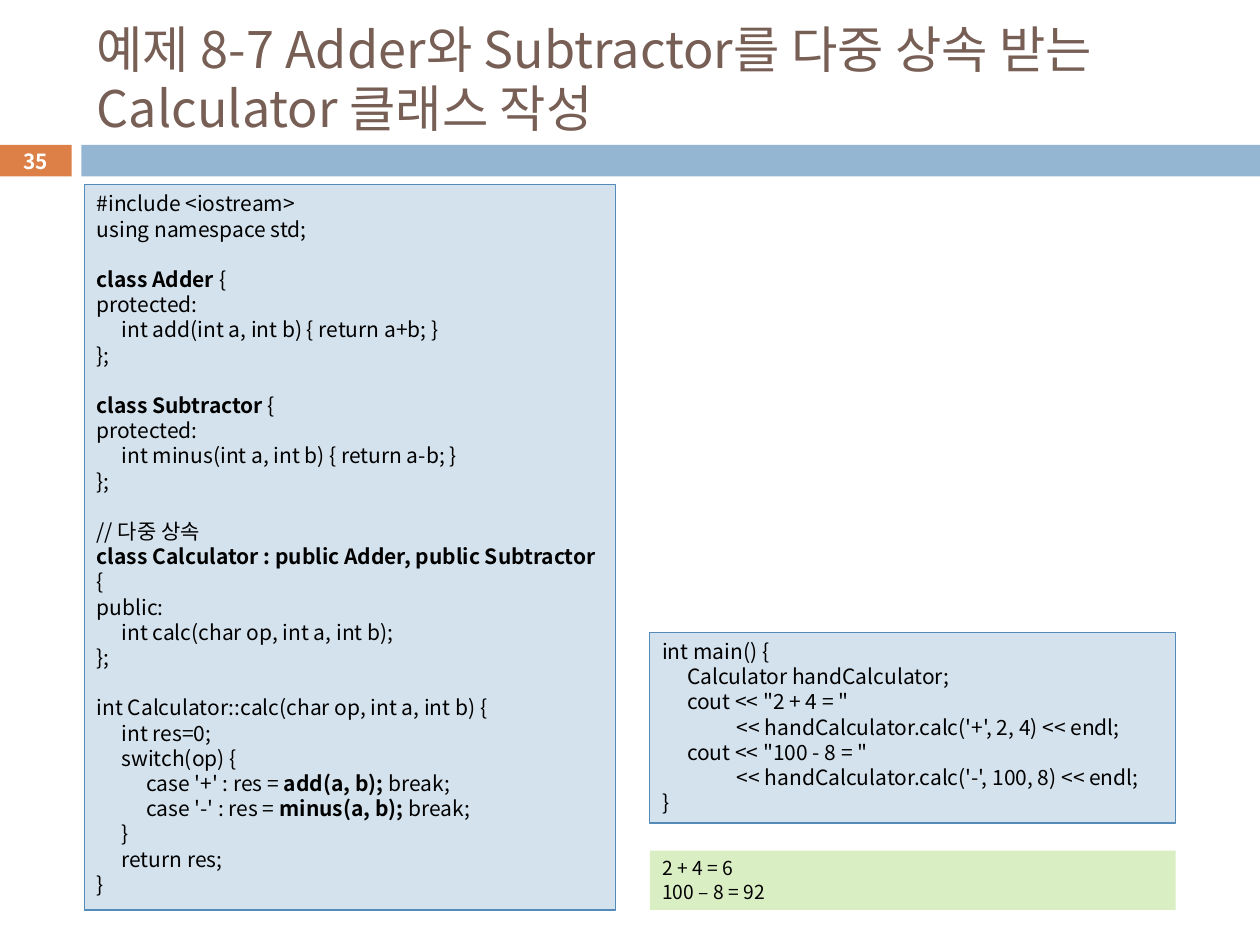
import pptx
import pptx.util
import pptx.dml.color
import pptx.enum.shapes
import pptx.enum.text
import pptx.oxml.ns
from lxml import etree

Pt = pptx.util.Pt
Shape = pptx.enum.shapes.MSO_SHAPE
Align = pptx.enum.text.PP_ALIGN
Anchor = pptx.enum.text.MSO_ANCHOR
qn = pptx.oxml.ns.qn

FACE = "Noto Sans CJK KR"
TAB = 14.2
HUES = {
    "title": "775F55", "badge": "DD8047", "bar": "94B6D2", "white": "FFFFFF",
    "code": "D4E2ED", "edge": "558BB8", "result": "DAEEC4", "text": "000000",
}
FRAME = {
    "word_wrap": True, "margin_left": Pt(7.2), "margin_right": Pt(7.2),
    "margin_top": Pt(3.6), "margin_bottom": Pt(3.6),
}

CLASSES = """#include <iostream>
using namespace std;

**class Adder **{
protected:
\tint add(int a, int b) { return a+b; }
};

**class Subtractor **{
protected:
\tint minus(int a, int b) { return a-b; }
};

// 다중 상속
**class Calculator : public Adder, public Subtractor **{
public:
\tint calc(char op, int a, int b);
};

int Calculator::calc(char op, int a, int b) {
\tint res=0;
\tswitch(op) {
\t\tcase '+' : res = **add(a, b); **break;
\t\tcase '-' : res = **minus(a, b); **break;
\t}
\treturn res;
}"""

MAIN = """int main() {
\tCalculator handCalculator;
\tcout << "2 + 4 = "
\t\t\t<< handCalculator.calc('+', 2, 4) << endl;
\tcout << "100 - 8 = "
\t\t\t<< handCalculator.calc('-', 100, 8) << endl;
}"""

RESULT = "2 + 4 = 6\n100 – 8 = 92"
TITLE = "예제 8-7 Adder와 Subtractor를 다중 상속 받는 Calculator 클래스 작성"


def apply(item, values):
    for key, value in values.items():
        setattr(item, key, value)


def color(key):
    return pptx.dml.color.RGBColor.from_string(HUES[key])


def add_tabs(para):
    stops = etree.SubElement(para._p.get_or_add_pPr(), qn("a:tabLst"))
    for step in (1, 2, 3):
        etree.SubElement(stops, qn("a:tab"), pos=str(Pt(TAB * step)), algn="l")


def add_run(para, text, size, hue, bold):
    run = para.add_run()
    run.text = text
    apply(run.font, {"name": FACE, "size": Pt(size), "bold": bold})
    run.font.color.rgb = color(hue)
    etree.SubElement(run._r.get_or_add_rPr(), qn("a:ea"), typeface=FACE)


def write(shape, text, size, pitch, hue="text", bold=False,
          anchor=Anchor.TOP, align=Align.LEFT):
    frame = shape.text_frame
    apply(frame, FRAME)
    frame.vertical_anchor = anchor
    para = frame.paragraphs[0]
    for block, group in enumerate(text.split("\n\n")):
        for row, line in enumerate(group.split("\n")):
            first = block == 0 and row == 0
            para = para if first else frame.add_paragraph()
            if "\t" in line:
                add_tabs(para)
            gap = pitch if block and row == 0 else 0
            apply(para, {"alignment": align, "line_spacing": Pt(pitch),
                         "space_before": Pt(gap), "space_after": Pt(0)})
            for part, words in enumerate(line.split("**")):
                if words:
                    add_run(para, words, size, hue, bold or part % 2 == 1)


def add_rect(slide, box, fill, edge=None):
    shape = slide.shapes.add_shape(Shape.RECTANGLE, *map(Pt, box))
    shape.shadow.inherit = False
    shape.fill.solid()
    shape.fill.fore_color.rgb = color(fill)
    if edge:
        shape.line.color.rgb = color(edge)
        shape.line.width = Pt(0.75)
    else:
        shape.line.fill.background()
    return shape


def add_title(slide, box):
    shape = slide.shapes.add_textbox(*map(Pt, box))
    write(shape, TITLE, 28.8, 34, "title", anchor=Anchor.MIDDLE)


def add_band(slide, box):
    left, top, width, height = box
    badge, gap = 41, 5.5
    shape = add_rect(slide, (left, top, badge, height), "badge")
    write(shape, "35", 11.9, 14.4, "white", True, Anchor.MIDDLE, Align.CENTER)
    start = badge + gap
    add_rect(slide, (left + start, top, width - start, height), "bar")


def add_code(slide, box, text):
    write(add_rect(slide, box, "code", "edge"), text, 12, 14.4)


def add_result(slide, box):
    write(add_rect(slide, box, "result"), RESULT, 11, 13.2)


def main():
    deck = pptx.Presentation()
    apply(deck, {"slide_width": Pt(720), "slide_height": Pt(540)})
    slide = deck.slides.add_slide(deck.slide_layouts[6])
    add_title(slide, (48.2, 18, 642, 53.3))
    add_band(slide, (0, 82.8, 720, 18))
    add_code(slide, (48.2, 105.5, 303.4, 414.5), CLASSES)
    add_code(slide, (371.3, 361.3, 300.5, 109), MAIN)
    add_result(slide, (371.3, 486, 300.5, 34))
    deck.save("out.pptx")


if __name__ == "__main__":
    main()
